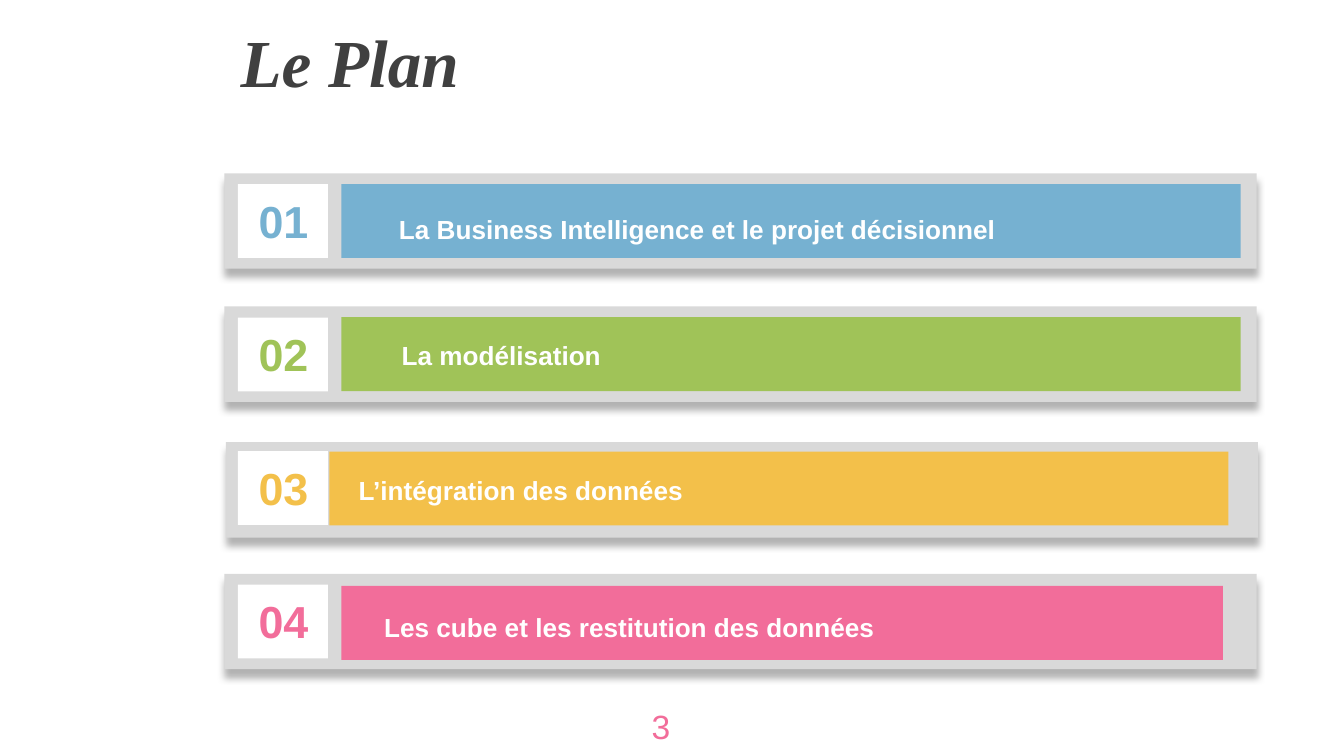
from lxml import etree
from pptx import Presentation
from pptx.dml.color import RGBColor
from pptx.enum.shapes import MSO_SHAPE
from pptx.enum.text import MSO_ANCHOR, MSO_AUTO_SIZE, PP_ALIGN
from pptx.oxml.ns import qn
from pptx.util import Inches, Pt

RECT = MSO_SHAPE.RECTANGLE
MIDDLE = MSO_ANCHOR.MIDDLE
TOP = MSO_ANCHOR.TOP
LEFT, CENTER = PP_ALIGN.LEFT, PP_ALIGN.CENTER
FIT_SHAPE, NO_FIT = MSO_AUTO_SIZE.SHAPE_TO_FIT_TEXT, MSO_AUTO_SIZE.NONE

WHITE, GREY, DARK, PINK = "FFFFFF", "D9D9D9", "404040", "F26D9A"
FIRST_TOP, LAST_TOP = 1.37, 4.35
BAR_HEIGHT = 0.55

# label, colour, frame (left, top), bar (left, top, width), label (left, top, width)
ROWS = [
    ("La Business Intelligence et le projet décisionnel", "76B1D1",
     (1.67, 1.29), (2.54, 1.37, 6.69), (2.87, 1.54, 6.37)),
    ("La modélisation", "A0C358",
     (1.67, 2.28), (2.54, 2.36, 6.69), (2.89, 2.48, 5.26)),
    ("L’intégration des données", "F3C04A",
     (1.68, 3.29), (2.45, 3.36, 6.69), (2.57, 3.48, 6.07)),
    ("Les cube et les restitution des données", PINK,
     (1.67, 4.27), (2.54, 4.36, 6.56), (2.76, 4.5, 6.07)),
]
ROW_STEP = (LAST_TOP - FIRST_TOP) / (len(ROWS) - 1)


def rgb(value):
    """Return the colour for a hex string."""
    return RGBColor.from_string(value)


def set_font(p, size, color, name="Arial", bold=True, italic=False):
    """Format the font of a whole paragraph."""
    font = p.font
    font.size, font.name = Pt(size), name
    font.bold, font.italic = bold, italic
    font.color.rgb = rgb(color)


def add_rect(slide, left, top, width, height, color):
    """Add a flat rectangle without an outline."""
    sp = slide.shapes.add_shape(RECT, Inches(left), Inches(top), Inches(width), Inches(height))
    sp.shadow.inherit = False
    sp.fill.solid()
    sp.fill.fore_color.rgb = rgb(color)
    sp.line.fill.background()
    return sp


def add_shadow(sp):
    """Give a shape a soft black shadow straight below it."""
    effects = sp._element.spPr.find(qn("a:effectLst"))
    shadow = etree.SubElement(effects, qn("a:outerShdw"), blurRad=str(Pt(4)),
                              dist=str(Pt(4)), dir="5400000", algn="t", rotWithShape="0")
    color = etree.SubElement(shadow, qn("a:srgbClr"), val="000000")
    etree.SubElement(color, qn("a:alpha"), val="30000")


def add_text(slide, text, left, top, width, height, size, color,
             bold=True, align=LEFT, anchor=TOP):
    """Add a one-paragraph text box."""
    box = slide.shapes.add_textbox(Inches(left), Inches(top), Inches(width), Inches(height))
    tf = box.text_frame
    tf.word_wrap = True
    tf.auto_size = FIT_SHAPE
    tf.vertical_anchor = anchor
    p = tf.paragraphs[0]
    p.text = text
    p.alignment = align
    set_font(p, size, color, bold=bold)


def add_title(slide, text):
    """Place and format the title placeholder."""
    title = slide.shapes.title
    title.left, title.top = Inches(1.69), Inches(0.03)
    title.width, title.height = Inches(8.31), Inches(0.85)
    tf = title.text_frame
    tf.text = text
    tf.auto_size = NO_FIT
    tf.vertical_anchor = MIDDLE
    p = tf.paragraphs[0]
    p.alignment = LEFT
    set_font(p, 36, DARK, "Times New Roman", italic=True)


def add_row(slide, index, label, color, frame, bar, label_box):
    """Add one numbered agenda row."""
    top = FIRST_TOP + index * ROW_STEP
    bar_left, bar_top, bar_width = bar
    add_shadow(add_rect(slide, *frame, 7.68, 0.71, GREY))
    add_rect(slide, bar_left, bar_top, bar_width, BAR_HEIGHT, color)
    add_rect(slide, 1.77, top, 0.67, BAR_HEIGHT, WHITE)
    add_text(slide, f"{index + 1:02d}", 1.78, top + 0.02, 0.66, 0.5, 24, color,
             align=CENTER, anchor=MIDDLE)
    add_text(slide, label, *label_box, 0.34, 14, WHITE)


def main():
    """Build the agenda slide."""
    prs = Presentation()
    prs.slide_width = Inches(10)
    prs.slide_height = prs.slide_width * 9 // 16
    slide = prs.slides.add_slide(prs.slide_layouts[5])
    add_title(slide, "Le Plan")
    for index, row in enumerate(ROWS):
        add_row(slide, index, *row)
    add_text(slide, "3", 4.75, 5.2, 0.33, 0.4, 18, PINK, bold=False)
    prs.save("out.pptx")


if __name__ == "__main__":
    main()
